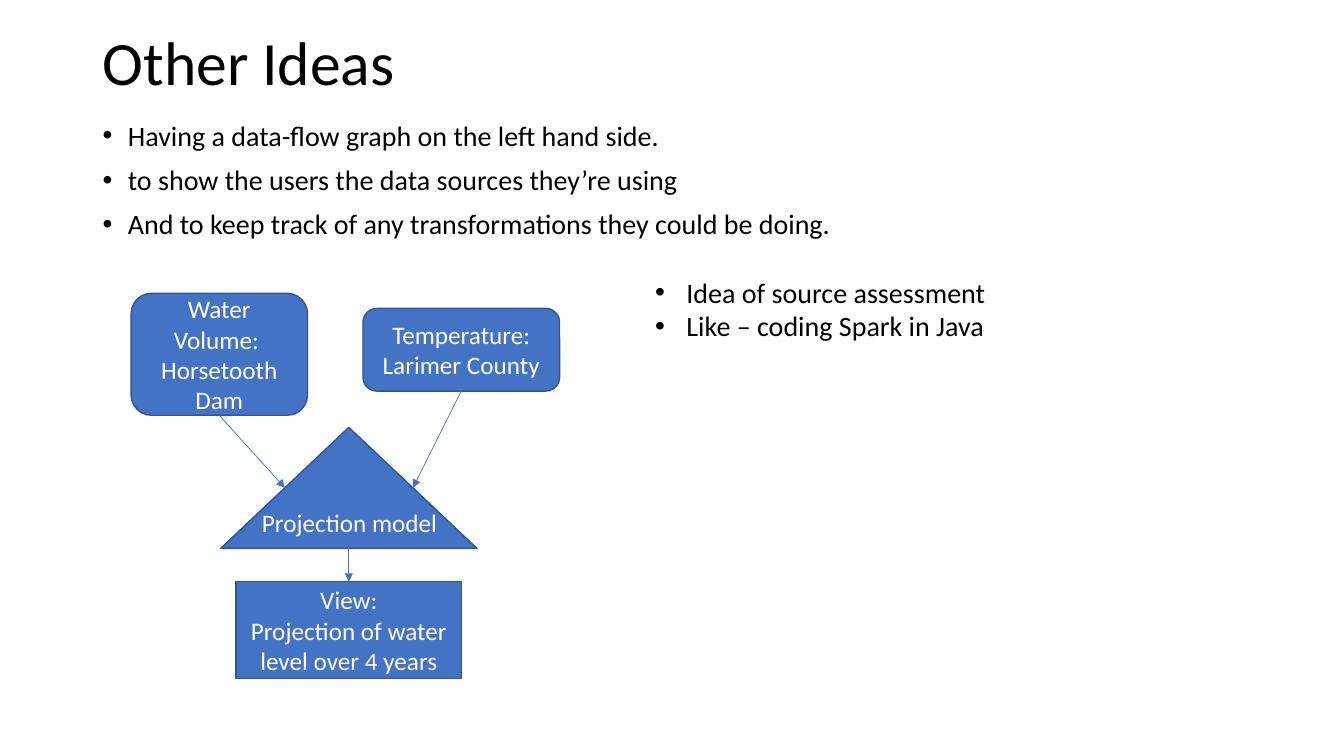
from dataclasses import dataclass
from lxml.etree import SubElement
from pptx import Presentation
from pptx.dml.color import RGBColor
from pptx.enum.shapes import MSO_CONNECTOR, MSO_SHAPE
from pptx.enum.text import MSO_ANCHOR, PP_ALIGN
from pptx.oxml.ns import qn
from pptx.util import Pt

PX = 9144  # EMU per px, 100 px to the inch


@dataclass(frozen=True)
class Theme:
    font: str = "Calibri"
    ink: str = "000000"
    pale: str = "FFFFFF"
    fill: str = "4472C4"
    edge: str = "325491"
    title: int = 44
    body: int = 20
    node: int = 18


LOOK = Theme()


def emu(*px):
    return [round(n * PX) for n in px]


def bullet(para, indent):
    props = para._p.get_or_add_pPr()
    props.set("marL", str(indent * PX))
    props.set("indent", str(-indent * PX))
    SubElement(props, qn("a:buFont")).set("typeface", "Arial")
    SubElement(props, qn("a:buChar")).set("char", "•")


def write(shape, lines, size, color, align=PP_ALIGN.LEFT,
          anchor=MSO_ANCHOR.TOP, indent=0, lead=None, gap=0):
    frame = shape.text_frame
    frame.word_wrap = True
    frame.vertical_anchor = anchor
    for i, line in enumerate(lines):
        para = frame.paragraphs[0] if i == 0 else frame.add_paragraph()
        para.alignment = align
        if lead:
            para.line_spacing = lead
        if i and gap:
            para.space_before = Pt(gap)
        if indent:
            bullet(para, indent)
        run = para.add_run()
        run.text = line
        run.font.name = LOOK.font
        run.font.size = Pt(size)
        run.font.color.rgb = RGBColor.from_string(color)


def label(slide, box, lines, size, color, **style):
    write(slide.shapes.add_textbox(*emu(*box)), lines, size, color, **style)


def node(slide, kind, box, lines=()):
    shape = slide.shapes.add_shape(kind, *emu(*box))
    shape.shadow.inherit = False
    shape.fill.solid()
    shape.fill.fore_color.rgb = RGBColor.from_string(LOOK.fill)
    shape.line.color.rgb = RGBColor.from_string(LOOK.edge)
    shape.line.width = Pt(1)
    write(shape, lines, LOOK.node, LOOK.pale,
          align=PP_ALIGN.CENTER, anchor=MSO_ANCHOR.MIDDLE)
    return shape


def arrow(slide, start, end, source=None, target=None):
    link = slide.shapes.add_connector(MSO_CONNECTOR.STRAIGHT, *emu(*start, *end))
    if source:
        link.begin_connect(source, 2)
    if target:
        link.end_connect(target, 0)
    link.line.color.rgb = RGBColor.from_string(LOOK.fill)
    link.line.width = Pt(0.5)
    SubElement(link.line._get_or_add_ln(), qn("a:tailEnd")).set("type", "triangle")
    SubElement(link._element.spPr, qn("a:effectLst"))


def header(slide, box):
    x, y, w, h = box
    label(slide, (x, y, w, 100), ["Other Ideas"], LOOK.title, LOOK.ink,
          anchor=MSO_ANCHOR.MIDDLE, lead=0.9)
    label(slide, (x, y + 101, w, h - 101), [
        "Having a data-flow graph on the left hand side.",
        "to show the users the data sources they’re using",
        "And to keep track of any transformations they could be doing.",
    ], LOOK.body, LOOK.ink, indent=25, lead=0.9, gap=10)


def flow(slide, box):
    x, y, w, h = box
    mid = x + 216

    # Data sources
    water = node(slide, MSO_SHAPE.FLOWCHART_ALTERNATE_PROCESS,
                 (x, y, 175, 121), ["Water Volume: ", "Horsetooth Dam"])
    heat = node(slide, MSO_SHAPE.FLOWCHART_ALTERNATE_PROCESS,
                (x + w - 195, y + 15, 195, 82), ["Temperature: Larimer County"])

    # Model and resulting view
    wide, tall, top = 254, 120, y + 133
    base = top + tall
    node(slide, MSO_SHAPE.ISOSCELES_TRIANGLE, (mid - wide / 2, top, wide, tall))
    view = node(slide, MSO_SHAPE.RECTANGLE, (mid - 112, y + h - 96, 224, 96),
                ["View:", "Projection of water level over 4 years"])
    label(slide, (mid - 96, base - 46, 207, 71), ["Projection model"],
          LOOK.node, LOOK.pale)

    # Arrows, the upper two meeting the slopes halfway
    for side, source in ((-1, water), (1, heat)):
        arrow(slide, (mid, y), (mid + side * wide / 4, top + tall / 2), source)
    arrow(slide, (mid, base), (mid, y + h - 96), target=view)


def aside(slide, box):
    label(slide, box, ["Idea of source assessment", "Like – coding Spark in Java"],
          LOOK.body, LOOK.ink, indent=31)


def main():
    deck = Presentation()
    deck.slide_width, deck.slide_height = emu(1333, 750)
    slide = deck.slides.add_slide(deck.slide_layouts[6])
    header(slide, (92, 15, 1150, 687))
    flow(slide, (130, 291, 425, 382))
    aside(slide, (640, 268, 651, 77))
    deck.save("out.pptx")


if __name__ == "__main__":
    main()
